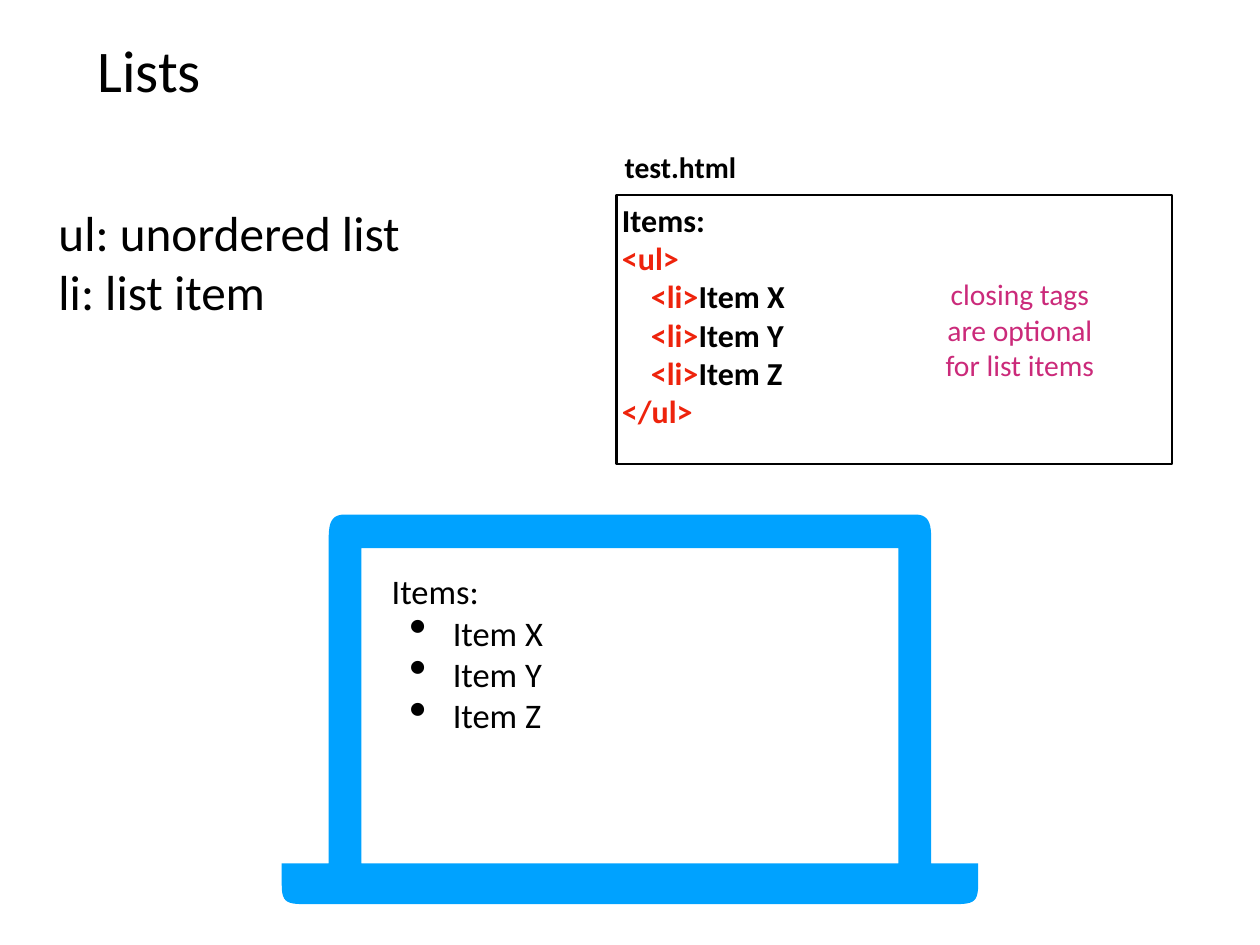
from dataclasses import dataclass

from lxml.etree import SubElement
from pptx import Presentation
from pptx.dml.color import RGBColor
from pptx.enum.shapes import MSO_SHAPE
from pptx.enum.text import MSO_ANCHOR, MSO_AUTO_SIZE, PP_ALIGN
from pptx.oxml.ns import qn
from pptx.util import Emu, Pt

BLACK = RGBColor(0x00, 0x00, 0x00)
WHITE = RGBColor(0xFF, 0xFF, 0xFF)
RED = RGBColor(0xEE, 0x23, 0x0C)
PINK = RGBColor(0xCB, 0x2A, 0x7A)
BLUE = RGBColor(0x00, 0xA2, 0xFF)
FONT = "Calibri"
SLIDE_WIDTH, SLIDE_HEIGHT = 1422, 1067
CURVE_STEPS = 12
ITEMS = ("Item X", "Item Y", "Item Z")

Point = tuple[float, float]


@dataclass(frozen=True)
class Span:
    text: str
    color: RGBColor = BLACK


@dataclass(frozen=True)
class Line:
    spans: tuple[Span, ...]
    bullet: bool = False


@dataclass(frozen=True)
class Block:
    place: tuple[int, int, int, int]
    size: int
    lines: tuple[Line, ...]
    bold: bool = False
    align: PP_ALIGN = PP_ALIGN.LEFT
    anchor: MSO_ANCHOR = MSO_ANCHOR.MIDDLE


def px(value: float) -> Emu:
    """Convert px, at 100 to the inch, into EMU."""
    return Emu(round(value * 9144))


def plain(*texts: str, color: RGBColor = BLACK, bullet: bool = False) -> tuple[Line, ...]:
    """Make one single-colour line from each text."""
    return tuple(Line((Span(text, color),), bullet) for text in texts)


TITLE = Block((104, 28, 1214, 99), 48, plain("Lists"))
SOURCE_CODE = Block(
    (696, 220, 627, 304), 26,
    plain("Items:")
    + plain("<ul>", color=RED)
    + tuple(Line((Span("    <li>", RED), Span(item))) for item in ITEMS)
    + plain("</ul>", color=RED),
    bold=True, anchor=MSO_ANCHOR.TOP,
)
TEXT_BLOCKS = (
    Block((436, 638, 562, 189), 28, plain("Items:") + plain(*ITEMS, bullet=True),
          anchor=MSO_ANCHOR.TOP),
    Block((699, 163, 169, 50), 24, plain("test.html"), bold=True),
    Block((60, 225, 408, 139), 40, plain("ul: unordered list", "li: list item")),
    Block((1059, 308, 184, 128), 24,
          plain("closing tags", "are optional", "for list items", color=PINK),
          align=PP_ALIGN.CENTER),
)


def add_bullet(para) -> None:
    properties = para._p.get_or_add_pPr()
    properties.set("marL", str(px(69)))
    properties.set("indent", str(px(-49)))
    SubElement(properties, qn("a:buSzPct")).set("val", "145000")
    SubElement(properties, qn("a:buChar")).set("char", "•")


def write_block(shape, block: Block) -> None:
    """Place the shape and fill it with the block's text."""
    shape.left, shape.top, shape.width, shape.height = map(px, block.place)
    frame = shape.text_frame
    frame.word_wrap = True
    frame.auto_size = MSO_AUTO_SIZE.NONE
    frame.vertical_anchor = block.anchor
    frame.margin_left = frame.margin_right = px(6)
    frame.margin_top = frame.margin_bottom = px(6)
    for index, line in enumerate(block.lines):
        para = frame.add_paragraph() if index else frame.paragraphs[0]
        para.alignment = block.align
        if line.bullet:
            add_bullet(para)
        for span in line.spans:
            run = para.add_run()
            run.text = span.text
            run.font.name = FONT
            run.font.size = Pt(block.size)
            run.font.bold = block.bold
            run.font.color.rgb = span.color


def curve(start: Point, first: Point, second: Point, end: Point) -> list[Point]:
    """Sample a cubic Bézier curve, both ends included."""
    points = []
    for step in range(CURVE_STEPS + 1):
        t = step / CURVE_STEPS
        weights = ((1 - t) ** 3, 3 * t * (1 - t) ** 2, 3 * t * t * (1 - t), t ** 3)
        corners = (start, first, second, end)
        points.append((
            sum(w * x for w, (x, _) in zip(weights, corners)),
            sum(w * y for w, (_, y) in zip(weights, corners)),
        ))
    return points


def add_laptop(page) -> None:
    left_half = (
        curve((389, 581), (370, 581), (371, 597), (371, 616))
        + [(371, 975)]
        + curve((318, 975), (318, 975), (318, 986), (318, 999))
        + curve((318, 999), (318, 1021), (325, 1021), (351, 1021))
    )
    right_half = [(SLIDE_WIDTH - x, y) for x, y in reversed(left_half)]
    screen = [(408, 619), (1014, 619), (1014, 975), (408, 975)]
    outline = [(px(x), px(y)) for x, y in left_half + right_half]
    hole = [(px(x), px(y)) for x, y in screen]

    builder = page.shapes.build_freeform(*outline[0])
    builder.add_line_segments(outline[1:], close=True)
    builder.move_to(*hole[0])
    builder.add_line_segments(hole[1:], close=True)
    laptop = builder.convert_to_shape()
    laptop.shadow.inherit = False
    laptop.fill.solid()
    laptop.fill.fore_color.rgb = BLUE
    laptop.line.fill.background()


def add_code_panel(page, block: Block) -> None:
    panel = page.shapes.add_shape(MSO_SHAPE.RECTANGLE, *map(px, block.place))
    panel.shadow.inherit = False
    panel.fill.solid()
    panel.fill.fore_color.rgb = WHITE
    panel.line.color.rgb = BLACK
    panel.line.width = Pt(2)
    write_block(panel, block)


def main() -> None:
    deck = Presentation()
    deck.slide_width, deck.slide_height = px(SLIDE_WIDTH), px(SLIDE_HEIGHT)
    page = deck.slides.add_slide(deck.slide_layouts.get_by_name("Title Only"))
    write_block(page.shapes.title, TITLE)
    add_laptop(page)
    add_code_panel(page, SOURCE_CODE)
    for block in TEXT_BLOCKS:
        write_block(page.shapes.add_textbox(*map(px, block.place)), block)
    deck.save("out.pptx")


if __name__ == "__main__":
    main()
